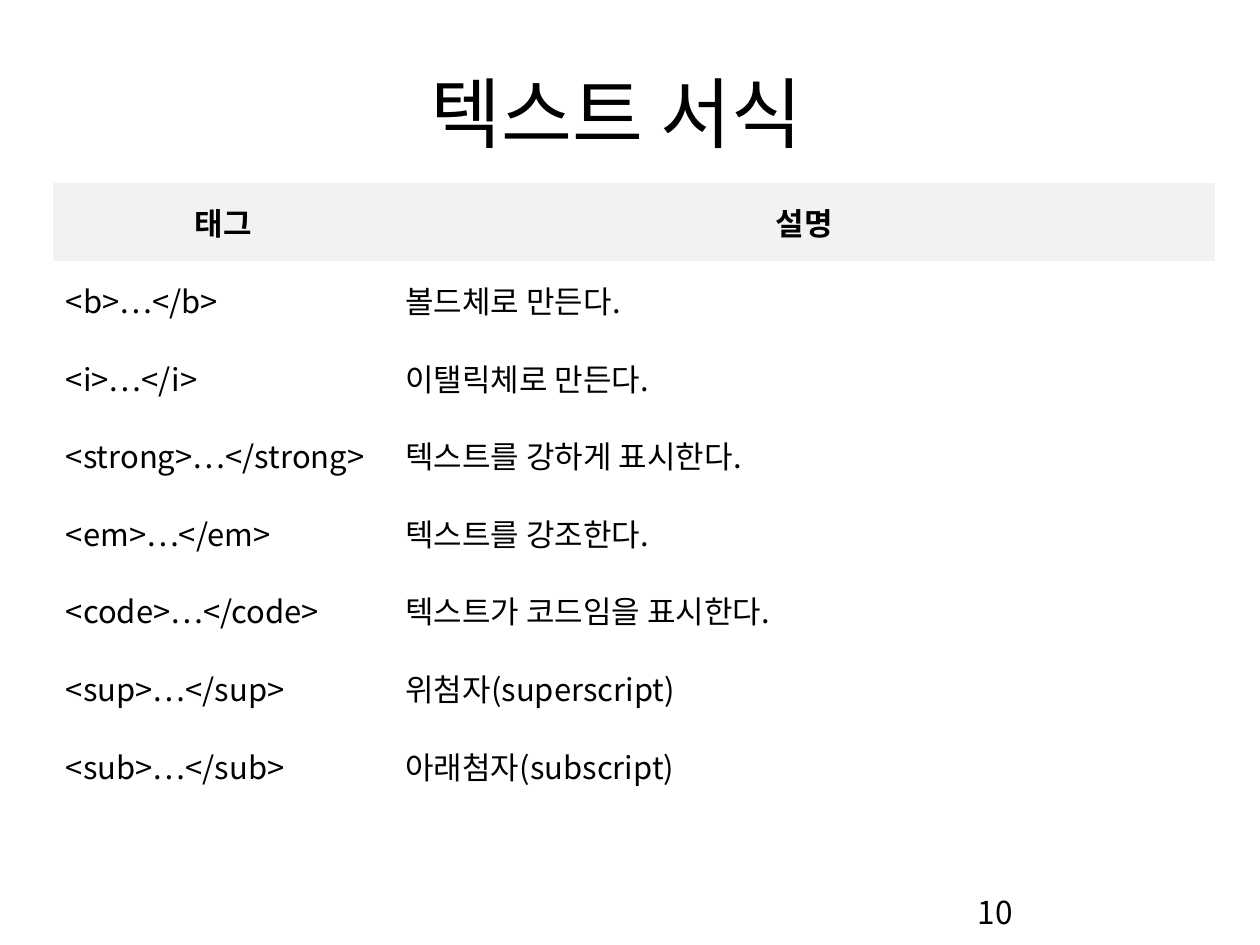
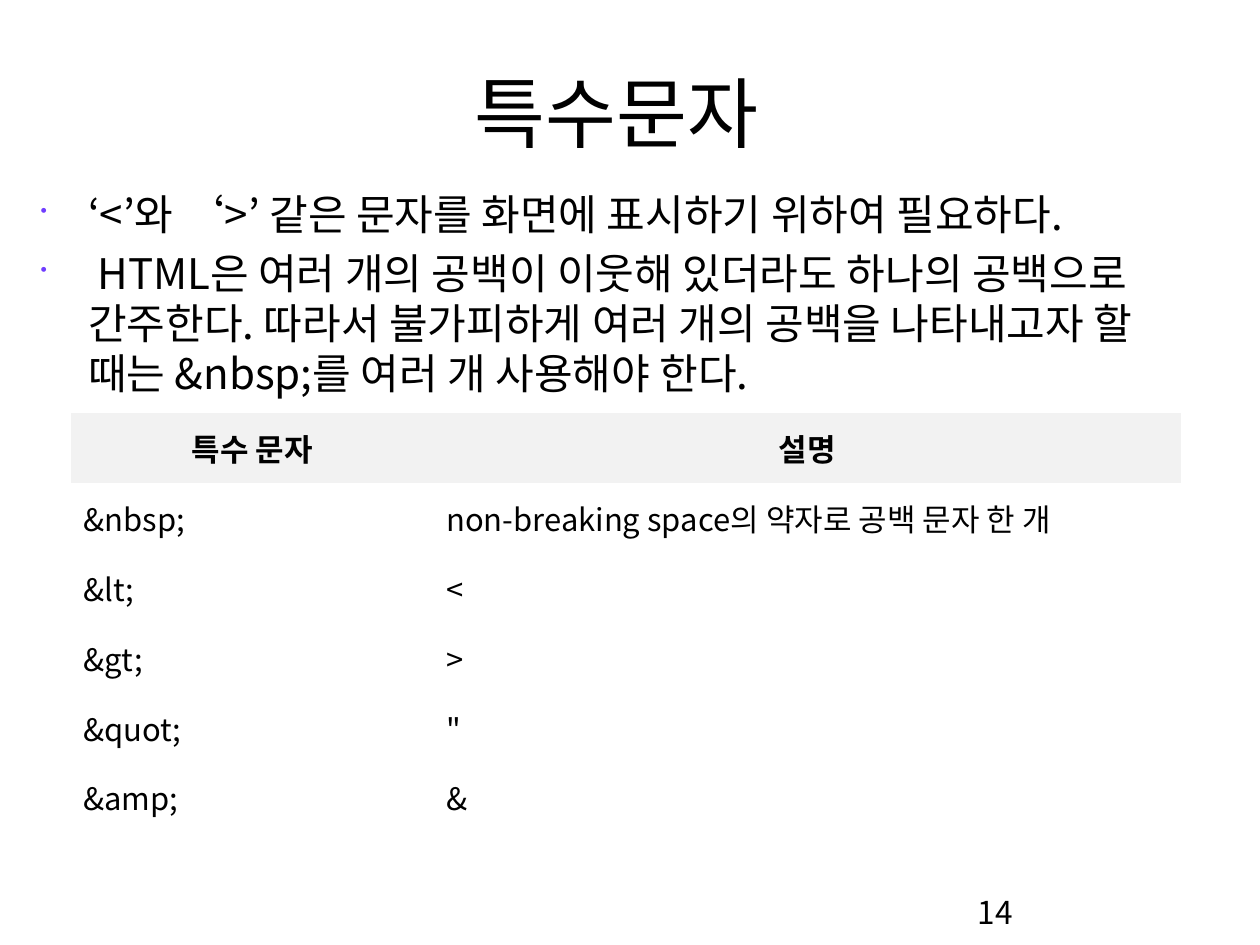
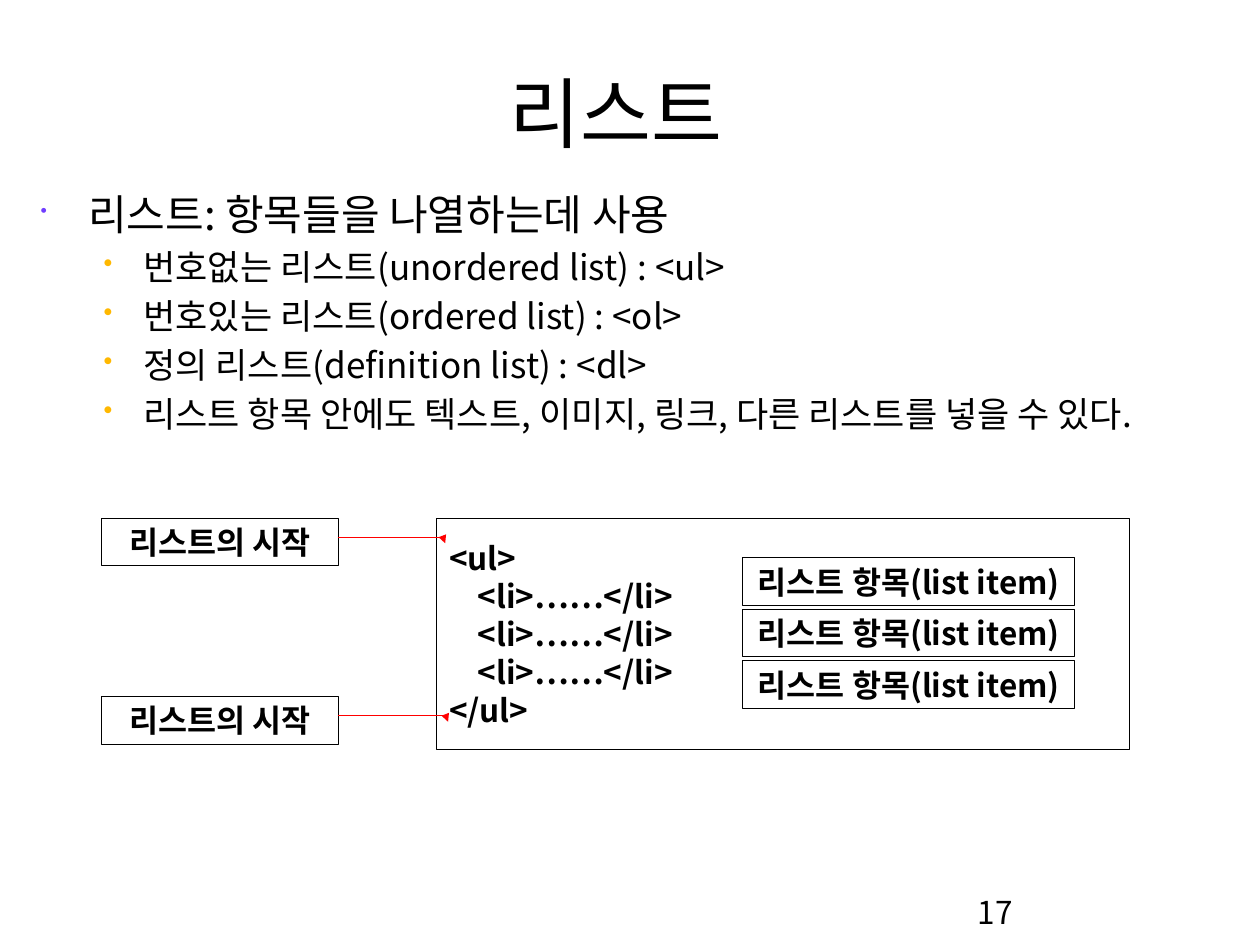
from lxml import etree
from pptx import Presentation
from pptx.dml.color import RGBColor
from pptx.enum.shapes import MSO_CONNECTOR, MSO_SHAPE
from pptx.enum.text import MSO_ANCHOR, PP_ALIGN
from pptx.oxml.ns import qn
from pptx.util import Inches, Pt

BLACK = RGBColor(0, 0, 0)
GREY = RGBColor(0xF2, 0xF2, 0xF2)
RED = RGBColor(0xFF, 0, 0)
FONT = "Noto Sans CJK KR"
RECT = MSO_SHAPE.RECTANGLE
ELBOW = MSO_CONNECTOR.ELBOW
LEFT, CENTER = PP_ALIGN.LEFT, PP_ALIGN.CENTER
TOP, MIDDLE = MSO_ANCHOR.TOP, MSO_ANCHOR.MIDDLE
PLAIN = "{2D5ABB26-0587-4C30-8999-92F81FD0307C}"
LEVELS = [
    (0.49, -0.49, 6.2, "703DFF", 45, 31.2),
    (1.06, -0.41, 5.2, "FFB800", 75, 26),
]


class Deck:
    def __init__(self):
        self.prs = Presentation()
        self.prs.slide_width = Inches(12.99)
        self.prs.slide_height = Inches(9.74)

    def page(self, title, number):
        self.slide = self.prs.slides.add_slide(self.prs.slide_layouts[6])
        self.text((1.05, 0.61, 10.61, 1.08), title, 57.2, CENTER, MIDDLE)
        self.text((9.98, 9.15, 2.68, 0.6), str(number), 23.4)

    def style(self, para, size, align=LEFT, bold=False):
        para.alignment = align
        font = para.font
        font.size, font.bold, font.name = Pt(size), bold, FONT
        font.color.rgb = BLACK
        base = para._p.pPr.find(qn("a:defRPr"))
        etree.SubElement(base, qn("a:ea"), typeface=FONT)

    def frame(self, shape, anchor, pad=(0.1, 0.05)):
        frame = shape.text_frame
        frame.word_wrap = True
        frame.vertical_anchor = anchor
        frame.margin_left = frame.margin_right = Inches(pad[0])
        frame.margin_top = frame.margin_bottom = Inches(pad[1])
        return frame

    def text(self, area, words, size, align=LEFT, anchor=TOP):
        shape = self.slide.shapes.add_textbox(*map(Inches, area))
        frame = self.frame(shape, anchor)
        frame.text = words
        self.style(frame.paragraphs[0], size, align)

    def bullets(self, items):
        shape = self.slide.shapes.add_textbox(*map(Inches, (0.32, 1.89, 12.32, 7.06)))
        frame = self.frame(shape, TOP)
        frame.text = "\n".join(words for level, words in items)
        for index, (para, (level, words)) in enumerate(zip(frame.paragraphs, items)):
            margin, indent, space, color, scale, size = LEVELS[level]
            para.level = level
            para.space_before = Pt(space if index else 0)
            props = para._p.get_or_add_pPr()
            props.set("marL", str(Inches(margin)))
            props.set("indent", str(Inches(indent)))
            tint = etree.SubElement(props, qn("a:buClr"))
            etree.SubElement(tint, qn("a:srgbClr"), val=color)
            etree.SubElement(props, qn("a:buSzPct"), val=str(scale * 1000))
            etree.SubElement(props, qn("a:buChar"), char="•")
            self.style(para, size)

    def table(self, left, top, widths, height, rows):
        area = (left, top, sum(widths), height * len(rows))
        shape = self.slide.shapes.add_table(len(rows), len(widths), *map(Inches, area))
        table = shape.table
        table.horz_banding = False
        table._tbl.tblPr.find(qn("a:tableStyleId")).text = PLAIN
        for column, width in zip(table.columns, widths):
            column.width = Inches(width)
        for r, row in enumerate(rows):
            table.rows[r].height = Inches(height)
            for c, words in enumerate(row):
                cell = table.cell(r, c)
                cell.text = words
                cell.vertical_anchor = MIDDLE
                cell.margin_left = cell.margin_right = Inches(0.13)
                if r == 0:
                    cell.fill.solid()
                    cell.fill.fore_color.rgb = GREY
                else:
                    cell.fill.background()
                align = LEFT if r else CENTER
                self.style(cell.text_frame.paragraphs[0], 23, align, r == 0)

    def box(self, area, words, align=CENTER, anchor=TOP, pad=(0.1, 0.05), line=0.75):
        shape = self.slide.shapes.add_shape(RECT, *map(Inches, area))
        shape.shadow.inherit = False
        shape.fill.background()
        shape.line.color.rgb = BLACK
        shape.line.width = Pt(line)
        frame = self.frame(shape, anchor, pad)
        frame.text = words
        for para in frame.paragraphs:
            self.style(para, 23.4, align, True)

    def arrow(self, *ends):
        link = self.slide.shapes.add_connector(ELBOW, *map(Inches, ends))
        link.line.color.rgb = RED
        link.line.width = Pt(0.75)
        props = link._element.spPr
        props.find(qn("a:prstGeom")).set("prst", "bentConnector2")
        etree.SubElement(props.find(qn("a:ln")), qn("a:tailEnd"), type="triangle")
        etree.SubElement(props, qn("a:effectLst"))


def main():
    deck = Deck()

    deck.page("텍스트 서식", 10)
    deck.table(0.55, 1.89, (3.5, 8.48), 0.8, [
        ("태그", "설명"),
        ("<b>…</b>", "볼드체로 만든다."),
        ("<i>…</i>", "이탤릭체로 만든다."),
        ("<strong>…</strong>", "텍스트를 강하게 표시한다."),
        ("<em>…</em>", "텍스트를 강조한다."),
        ("<code>…</code>", "텍스트가 코드임을 표시한다."),
        ("<sup>…</sup>", "위첨자(superscript)"),
        ("<sub>…</sub>", "아래첨자(subscript)"),
    ])

    deck.page("특수문자", 14)
    deck.bullets([
        (0, "‘<’와 ‘>’ 같은 문자를 화면에 표시하기 위하여 필요하다."),
        (0, " HTML은 여러 개의 공백이 이웃해 있더라도 하나의 공백으로 간주한다. "
            "따라서 불가피하게 여러 개의 공백을 나타내고자 할 때는 "
            "&nbsp;를 여러 개 사용해야 한다."),
    ])
    deck.table(0.73, 4.26, (3.74, 7.71), 0.72, [
        ("특수 문자", "설명"),
        ("&nbsp;", "non-breaking space의 약자로 공백 문자 한 개"),
        ("&lt;", "<"),
        ("&gt;", ">"),
        ("&quot;", '"'),
        ("&amp;", "&"),
    ])

    deck.page("리스트", 17)
    deck.bullets([
        (0, "리스트: 항목들을 나열하는데 사용"),
        (1, "번호없는 리스트(unordered list) : <ul>"),
        (1, "번호있는 리스트(ordered list) : <ol>"),
        (1, "정의 리스트(definition list) : <dl>"),
        (1, "리스트 항목 안에도 텍스트, 이미지, 링크, 다른 리스트를 넣을 수 있다."),
    ])
    item = "    <li>……</li>"
    code = "\n".join(["<ul>", item, item, item, "</ul>"])
    deck.box((4.5, 5.34, 7.15, 2.39), code, LEFT, MIDDLE, (0.13, 0.06), 0)
    for top, tip in ((5.34, 4.59), (7.18, 4.62)):
        deck.box((1.05, top, 2.44, 0.49), "리스트의 시작")
        deck.arrow(3.48, top + 0.2, tip, top + 0.26)
    for row in range(3):
        deck.box((7.66, 5.75 + 0.53 * row, 3.42, 0.49), "리스트 항목(list item)")

    deck.prs.save("out.pptx")


if __name__ == "__main__":
    main()
